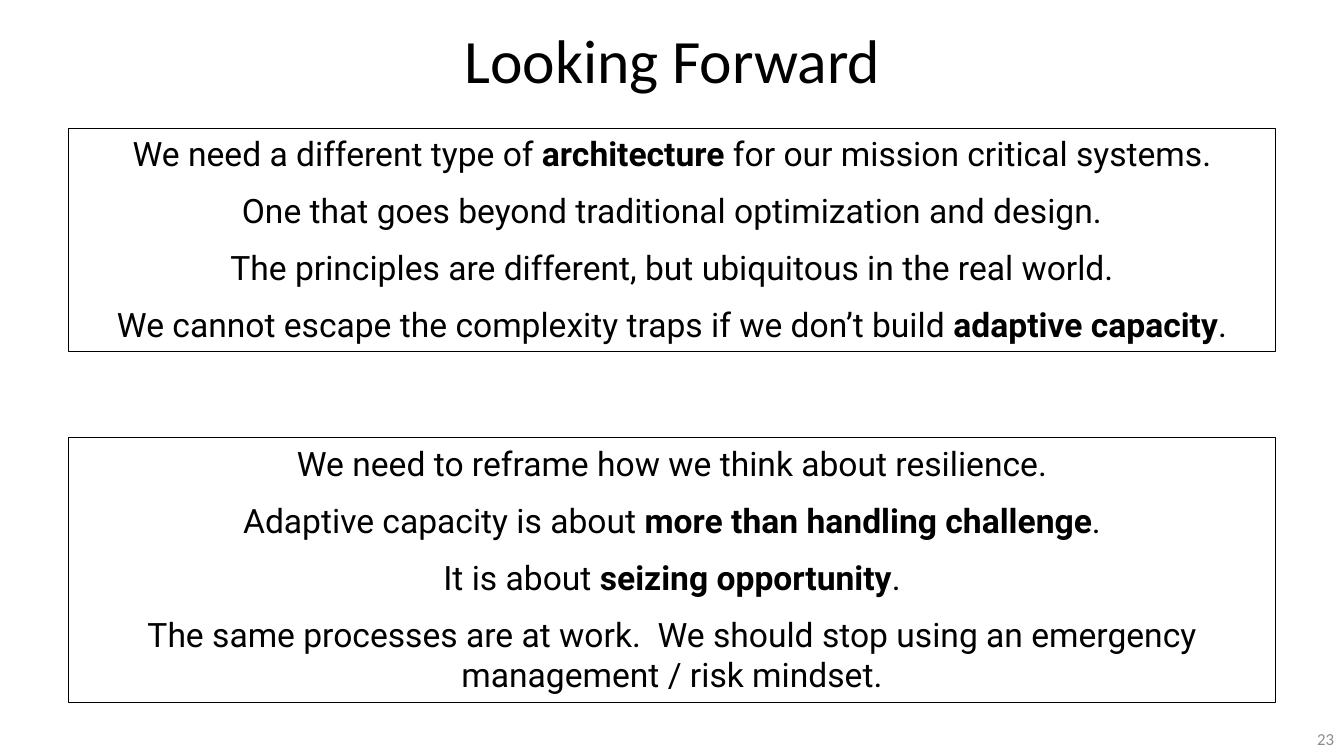
from pptx import Presentation
from pptx.dml.color import RGBColor
from pptx.enum.shapes import MSO_SHAPE
from pptx.enum.text import MSO_ANCHOR, PP_ALIGN
from pptx.util import Inches, Pt

BLACK, GREY = "000000", "8C8C8C"

# Each statement is a list of pieces; every second piece is bold
ARCHITECTURE = [
    ["We need a different type of ", "architecture", " for our mission critical systems."],
    ["One that goes beyond traditional optimization and design."],
    ["The principles are different, but ubiquitous in the real world."],
    ["We cannot escape the complexity traps if we don’t build ", "adaptive capacity", "."],
]
RESILIENCE = [
    ["We need to reframe how we think about resilience."],
    ["Adaptive capacity is about ", "more than handling challenge", "."],
    ["It is about ", "seizing opportunity", "."],
    ["The same processes are at work.  We should stop using an emergency "
     "management / risk mindset."],
]


def color(value):
    return RGBColor.from_string(value)


def style(font, name, size, value):
    font.name = name
    font.size = Pt(size)
    font.color.rgb = color(value)


def add_label(s, box, text, size, value, align, spacing=1.0):
    """A single line of text, centred vertically in its box."""
    tf = s.shapes.add_textbox(*map(Inches, box)).text_frame
    tf.word_wrap = True
    tf.vertical_anchor = MSO_ANCHOR.MIDDLE
    p = tf.paragraphs[0]
    p.text = text
    p.alignment = align
    p.line_spacing = spacing
    style(p.runs[0].font, "Calibri", size, value)


def add_statements(s, box, statements):
    """An outlined box of centred statements."""
    sp = s.shapes.add_shape(MSO_SHAPE.RECTANGLE, *map(Inches, box))
    sp.shadow.inherit = False
    sp.fill.background()
    sp.line.color.rgb = color(BLACK)
    sp.line.width = Pt(0.75)
    tf = sp.text_frame
    tf.word_wrap = True
    tf.vertical_anchor = MSO_ANCHOR.TOP
    for i, pieces in enumerate(statements):
        p = tf.add_paragraph() if i else tf.paragraphs[0]
        p.alignment = PP_ALIGN.CENTER
        p.space_after = Pt(12)
        for j, piece in enumerate(pieces):
            r = p.add_run()
            r.text = piece
            style(r.font, "Roboto", 24, BLACK)
            r.font.bold = j % 2 == 1


def build_slide(prs):
    s = prs.slides.add_slide(prs.slide_layouts[6])
    left, width = 0.68, 11.97

    # Title
    add_label(s, (1.67, 0.28, 10, 0.71), "Looking Forward", 44, BLACK,
              PP_ALIGN.CENTER, 0.9)

    # Statement boxes
    add_statements(s, (left, 1.27, width, 2.22), ARCHITECTURE)
    add_statements(s, (left, 4.34, width, 2.63), RESILIENCE)

    # Page number
    add_label(s, (11, 7.13, 2.33, 0.4), "23", 12, GREY, PP_ALIGN.RIGHT)


def main():
    prs = Presentation()
    prs.slide_width = Inches(13.33)
    prs.slide_height = Inches(7.5)
    build_slide(prs)
    prs.save("out.pptx")


if __name__ == "__main__":
    main()
